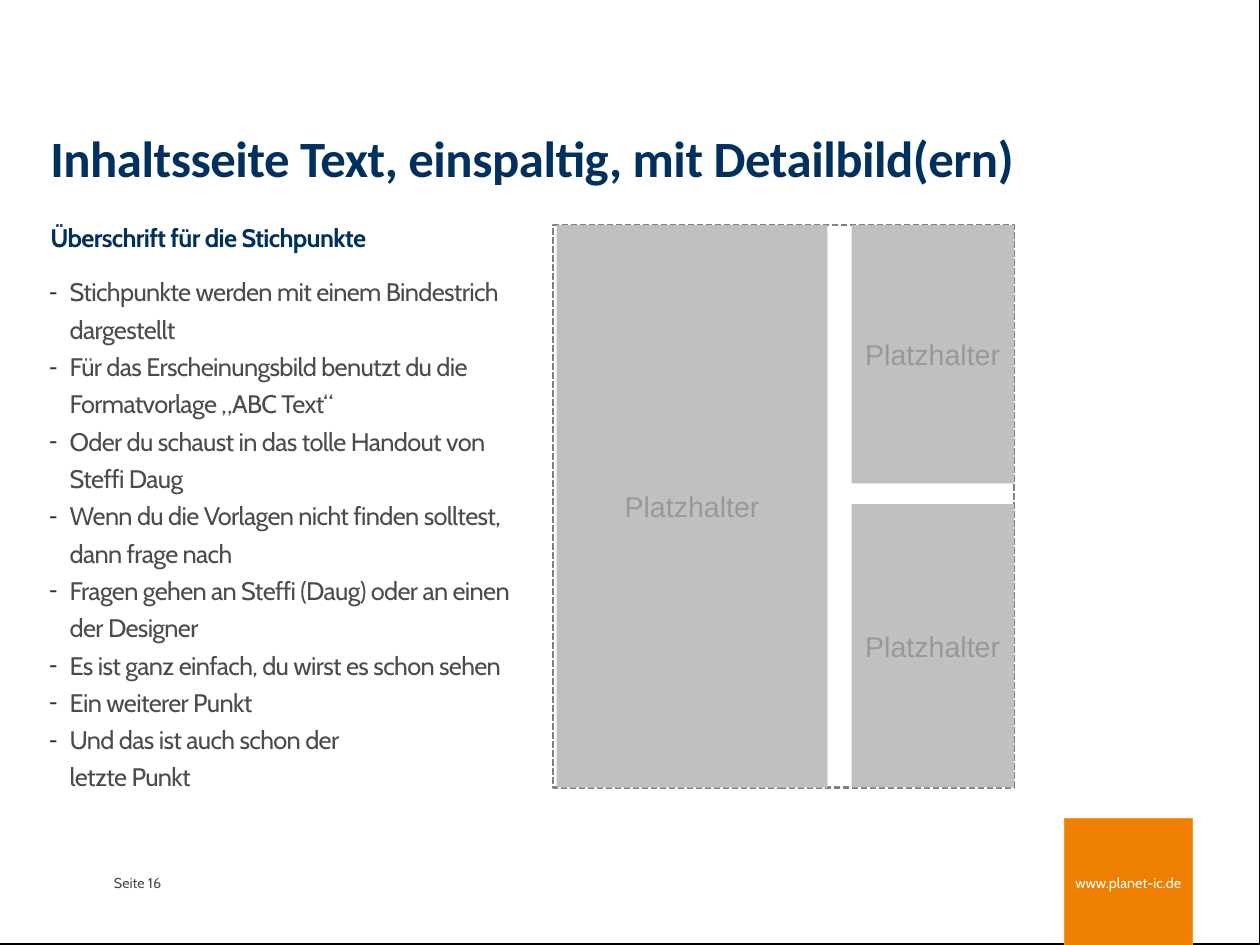
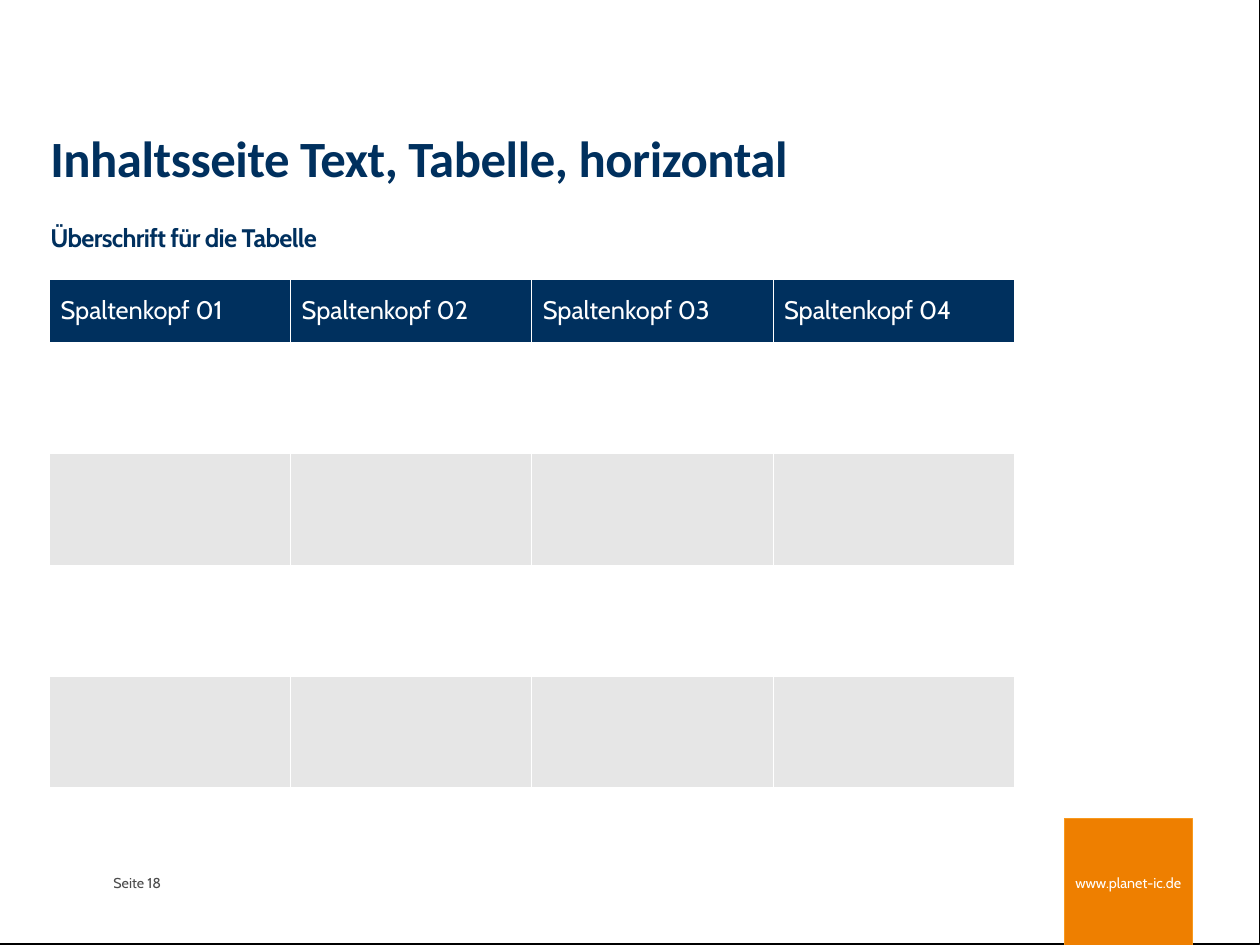
import pptx
import pptx.util
import pptx.dml.color
import pptx.enum.dml
import pptx.enum.shapes
import pptx.enum.text
import pptx.oxml
import pptx.oxml.ns
from lxml import etree

Inches = pptx.util.Inches
Pt = pptx.util.Pt
RGBColor = pptx.dml.color.RGBColor
ALIGN = pptx.enum.text.PP_ALIGN
ANCHOR = pptx.enum.text.MSO_ANCHOR

WHITE = RGBColor(0xFF, 0xFF, 0xFF)
BLACK = RGBColor(0, 0, 0)
NAVY = RGBColor(0x00, 0x30, 0x5E)
TEXT_GREY = RGBColor(0x4C, 0x4C, 0x4C)
BULLET_GREY = RGBColor(0x33, 0x33, 0x33)
FRAME_GREY = RGBColor(0x80, 0x80, 0x80)
FILL_GREY = RGBColor(0xC0, 0xC0, 0xC0)
LABEL_GREY = RGBColor(0x99, 0x99, 0x99)
BAND_GREY = RGBColor(0xE6, 0xE6, 0xE6)
ORANGE = RGBColor(0xEE, 0x7F, 0x00)
ORANGE_LINE = RGBColor(0xF8, 0x99, 0x1D)

# The page measures 28 by 21 centimetres
PAGE_WIDTH, PAGE_HEIGHT = 28 / 2.54, 21 / 2.54
MARGIN = 0.44
BODY_FONT = "Cabin"

BULLETS = [
    "Stichpunkte werden mit einem Bindestrich dargestellt",
    "Für das Erscheinungsbild benutzt du die Formatvorlage „ABC Text“",
    "Oder du schaust in das tolle Handout von Steffi Daug",
    "Wenn du die Vorlagen nicht finden solltest, dann frage nach",
    "Fragen gehen an Steffi (Daug) oder an einen der Designer",
    "Es ist ganz einfach, du wirst es schon sehen",
    "Ein weiterer Punkt",
    "Und das ist auch schon der\nletzte Punkt",
]


def add_child(parent, tag, **attributes):
    """Append a drawing element to an XML parent."""
    child = etree.SubElement(parent, pptx.oxml.ns.qn("a:" + tag))
    for name, value in attributes.items():
        child.set(name, str(value))
    return child


def add_dash(para, indent=0.18):
    """Give a paragraph a hanging dash."""
    properties = para._p.get_or_add_pPr()
    properties.set("marL", str(Inches(indent)))
    properties.set("indent", str(-Inches(indent)))
    add_child(add_child(properties, "buClr"), "srgbClr", val=BULLET_GREY)
    add_child(properties, "buChar", char="-")


def write(frame, lines, size=16, font=BODY_FONT, color=TEXT_GREY, bold=False,
          tracking=0, align=ALIGN.LEFT, anchor=ANCHOR.TOP, spacing=1.0,
          insets=(0, 0), wrap=True, dashes=False):
    """Fill a text frame, one paragraph for each line."""
    frame.word_wrap = wrap
    frame.auto_size = pptx.enum.text.MSO_AUTO_SIZE.NONE
    frame.vertical_anchor = anchor
    frame.margin_left = frame.margin_right = Inches(insets[0])
    frame.margin_top = frame.margin_bottom = Inches(insets[1])
    for index, line in enumerate(lines):
        para = frame.paragraphs[0] if index == 0 else frame.add_paragraph()
        para.text = line
        para.alignment = align
        para.line_spacing = spacing
        para.space_before = Pt(0)
        if dashes:
            add_dash(para)
        for span in para.runs:
            span.font.name = font
            span.font.size = Pt(size)
            span.font.bold = bold
            span.font.color.rgb = color
            if tracking:
                span._r.get_or_add_rPr().set("spc", str(round(tracking * 100)))


def place(shape, left, top, width, height):
    shape.left, shape.top = Inches(left), Inches(top)
    shape.width, shape.height = Inches(width), Inches(height)


def add_text(page, box, lines, **style):
    write(page.shapes.add_textbox(*map(Inches, box)).text_frame, lines, **style)


def add_block(page, box, fill, line=None, line_width=0):
    """Add a flat rectangle."""
    block = page.shapes.add_shape(
        pptx.enum.shapes.MSO_SHAPE.RECTANGLE, *map(Inches, box))
    block.shadow.inherit = False
    block.fill.solid()
    block.fill.fore_color.rgb = fill
    if line is None:
        block.line.fill.background()
    else:
        block.line.color.rgb = line
        block.line.width = Pt(line_width)
    return block


def add_page(deck, layout, title, heading, number):
    """Start a slide with the shared frame, footer, title and heading."""
    page = deck.slides.add_slide(deck.slide_layouts[layout])
    # Only the right and bottom edges of the backdrop show
    backdrop = add_block(page, (-0.01, -0.01, 11.03, 8.27), WHITE, BLACK)
    page.shapes._spTree.insert(2, backdrop._element)

    # Footer
    add_text(page, (MARGIN, 7.48, 0.97, 0.57), [f"Seite {number}"], size=9,
             align=ALIGN.RIGHT, spacing=Pt(22.7))
    badge = add_block(page, (9.31, 7.16, 1.12, 1.12), ORANGE, ORANGE_LINE)
    write(badge.text_frame, ["www.planet-ic.de"], size=9, color=WHITE,
          align=ALIGN.CENTER, anchor=ANCHOR.MIDDLE, wrap=False)

    # Title and heading
    place(page.shapes.title, MARGIN, 1.11, 8.43, 0.43)
    write(page.shapes.title.text_frame, [title], size=32, font="Calibri",
          color=NAVY, bold=True, tracking=-0.3)
    add_text(page, (MARGIN, 1.92, 4.01, 0.33), [heading], color=NAVY,
             bold=True, tracking=-0.4, spacing=1.1)
    return page


def add_mosaic(page, left, top, width, height):
    """Dashed frame with one tall tile and two stacked tiles."""
    frame = add_block(page, (left, top, width, height), WHITE, FRAME_GREY, 1.42)
    frame.line.dash_style = pptx.enum.dml.MSO_LINE.SQUARE_DOT
    side, upper, lower = 1.42, 2.26, 2.48
    tiles = [
        (left + width - side, top, side, upper),
        (left + width - side, top + height - lower, side, lower),
        (left + 0.03, top, 2.37, height),
    ]
    for tile in tiles:
        block = add_block(page, tile, FILL_GREY)
        write(block.text_frame, ["Platzhalter"], size=18, font="Arial",
              color=LABEL_GREY, align=ALIGN.CENTER, anchor=ANCHOR.MIDDLE,
              insets=(0.1, 0.05))


def set_borders(cell, color, width):
    properties = cell._tc.get_or_add_tcPr()
    for index, side in enumerate(("lnL", "lnR", "lnT", "lnB")):
        border = pptx.oxml.parse_xml(
            f'<a:{side} {pptx.oxml.ns.nsdecls("a")} w="{Pt(width)}"><a:solidFill>'
            f'<a:srgbClr val="{color}"/></a:solidFill></a:{side}>')
        properties.insert(index, border)


def add_grid(page, left, top, width, height, heads, body_rows=4, head_height=0.55):
    """Table with a dark head and banded empty rows."""
    table = page.shapes.add_table(
        body_rows + 1, len(heads), *map(Inches, (left, top, width, height))).table
    for column in table.columns:
        column.width = Inches(width / len(heads))
    for index, row in enumerate(table.rows):
        is_head = index == 0
        row.height = Inches(
            head_height if is_head else (height - head_height) / body_rows)
        for cell, head in zip(row.cells, heads):
            cell.fill.solid()
            cell.fill.fore_color.rgb = (
                NAVY if is_head else WHITE if index % 2 else BAND_GREY)
            set_borders(cell, WHITE, 0.06)
            if is_head:
                cell.vertical_anchor = ANCHOR.MIDDLE
                para = cell.text_frame.paragraphs[0]
                para.text = head
                font = para.runs[0].font
                font.name, font.size, font.bold = BODY_FONT, Pt(16), False
                font.color.rgb = WHITE


def build_text_page(deck):
    page = add_page(deck, 1, "Inhaltsseite Text, einspaltig, mit Detailbild(ern)",
                    "Überschrift für die Stichpunkte", 16)
    body = page.placeholders[1]
    place(body, 0.43, 2.36, 4.04, 4.22)
    write(body.text_frame, BULLETS, tracking=-0.4, spacing=Pt(23.5), dashes=True)
    add_mosaic(page, 4.84, 1.97, 4.03, 4.92)


def build_table_page(deck):
    page = add_page(deck, 5, "Inhaltsseite Text, Tabelle, horizontal",
                    "Überschrift für die Tabelle", 18)
    heads = [f"Spaltenkopf {number:02d}" for number in range(1, 5)]
    add_grid(page, 0.43, 2.44, 8.44, 4.45, heads)


def main():
    deck = pptx.Presentation()
    deck.slide_width, deck.slide_height = Inches(PAGE_WIDTH), Inches(PAGE_HEIGHT)
    build_text_page(deck)
    build_table_page(deck)
    deck.save("out.pptx")


if __name__ == "__main__":
    main()
